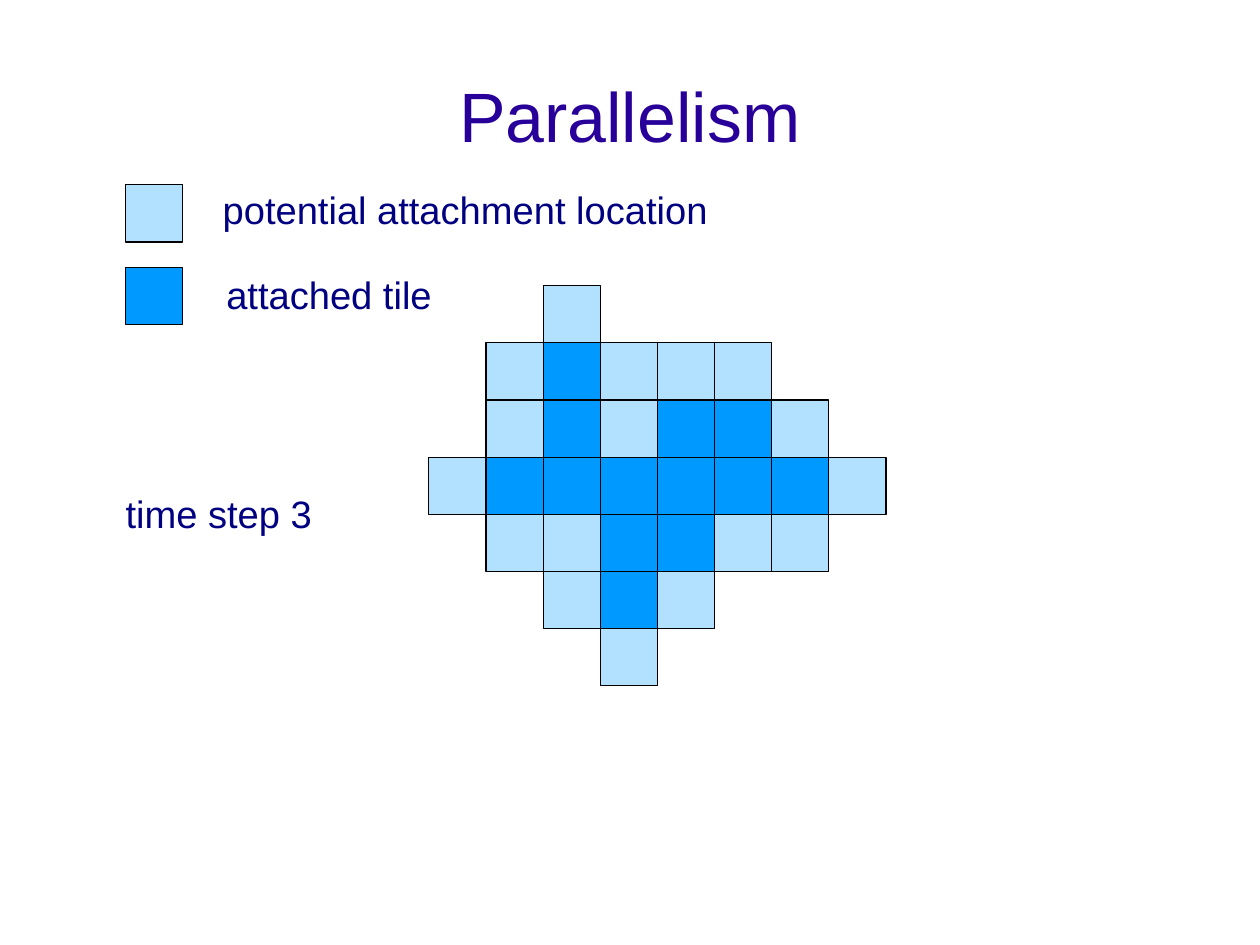
from dataclasses import dataclass

from lxml import etree
from pptx import Presentation
from pptx.dml.color import RGBColor
from pptx.enum.shapes import MSO_SHAPE
from pptx.enum.text import MSO_ANCHOR, PP_ALIGN
from pptx.oxml.ns import qn
from pptx.slide import Slide
from pptx.util import Cm, Pt

TILE_SHAPE = MSO_SHAPE.ROUNDED_RECTANGLE
LEFT, CENTER = PP_ALIGN.LEFT, PP_ALIGN.CENTER
TOP, MIDDLE = MSO_ANCHOR.TOP, MSO_ANCHOR.MIDDLE

TILE_SIZE = 1.27
GRID_LEFT, GRID_TOP = 9.53, 6.35
TILE_COLOR = "0099FF"
POTENTIAL, ATTACHED = "p", "a"
OPACITY = {POTENTIAL: 30, ATTACHED: 100}
GRID = (
    "..p.....",
    ".pappp..",
    ".papaap.",
    "paaaaaap",
    ".ppaapp.",
    "..pap...",
    "...p....",
)


@dataclass
class Tile:
    left: float
    top: float
    state: str


@dataclass
class Label:
    text: str
    left: float
    top: float
    width: float
    height: float = 1.19
    size: int = 24
    color: str = "000080"
    align: PP_ALIGN = LEFT
    anchor: MSO_ANCHOR = TOP
    insets: tuple[float, float, float, float] = (0.25, 0.18, 0.25, 0.13)


LEGEND_TILES = [Tile(2.79, 4.11, POTENTIAL), Tile(2.79, 5.94, ATTACHED)]
LABELS = [
    Label("Parallelism", 1.4, 0.84, 25.2, 3.5, 44, "280099",
          CENTER, MIDDLE, (0, 0.1, 0, 0)),
    Label("potential attachment location", 4.7, 4.06, 13),
    Label("attached tile", 4.78, 5.94, 9.53),
    Label("time step 3", 2.54, 10.8, 5.08),
]


def rgb(color: str) -> RGBColor:
    return RGBColor.from_string(color)


def grid_tiles() -> list[Tile]:
    return [
        Tile(GRID_LEFT + column * TILE_SIZE, GRID_TOP + row * TILE_SIZE, state)
        for row, states in enumerate(GRID)
        for column, state in enumerate(states)
        if state in OPACITY
    ]


def draw_tile(page: Slide, tile: Tile) -> None:
    shape = page.shapes.add_shape(
        TILE_SHAPE, Cm(tile.left), Cm(tile.top), Cm(TILE_SIZE), Cm(TILE_SIZE))
    shape.adjustments[0] = 0
    shape.shadow.inherit = False
    shape.fill.solid()
    shape.fill.fore_color.rgb = rgb(TILE_COLOR)
    shape.line.color.rgb = rgb("000000")
    shape.line.width = Pt(0.75)
    opacity = OPACITY[tile.state]
    if opacity < 100:
        color = shape.fill._xPr.find(qn("a:solidFill")).find(qn("a:srgbClr"))
        etree.SubElement(color, qn("a:alpha"), val=str(opacity * 1000))


def draw_label(page: Slide, label: Label) -> None:
    box = page.shapes.add_textbox(
        Cm(label.left), Cm(label.top), Cm(label.width), Cm(label.height))
    frame = box.text_frame
    frame.text = label.text
    frame.word_wrap = True
    frame.vertical_anchor = label.anchor
    (frame.margin_left, frame.margin_top,
     frame.margin_right, frame.margin_bottom) = map(Cm, label.insets)
    para = frame.paragraphs[0]
    para.alignment = label.align
    para.line_spacing = 0.93
    span = para.runs[0]
    span.font.name = "Arial"
    span.font.size = Pt(label.size)
    span.font.color.rgb = rgb(label.color)


def main() -> None:
    deck = Presentation()
    deck.slide_width, deck.slide_height = Cm(28), Cm(21)
    page = deck.slides.add_slide(deck.slide_layouts[6])
    for tile in grid_tiles() + LEGEND_TILES:
        draw_tile(page, tile)
    for label in LABELS:
        draw_label(page, label)
    deck.save("out.pptx")


if __name__ == "__main__":
    main()
